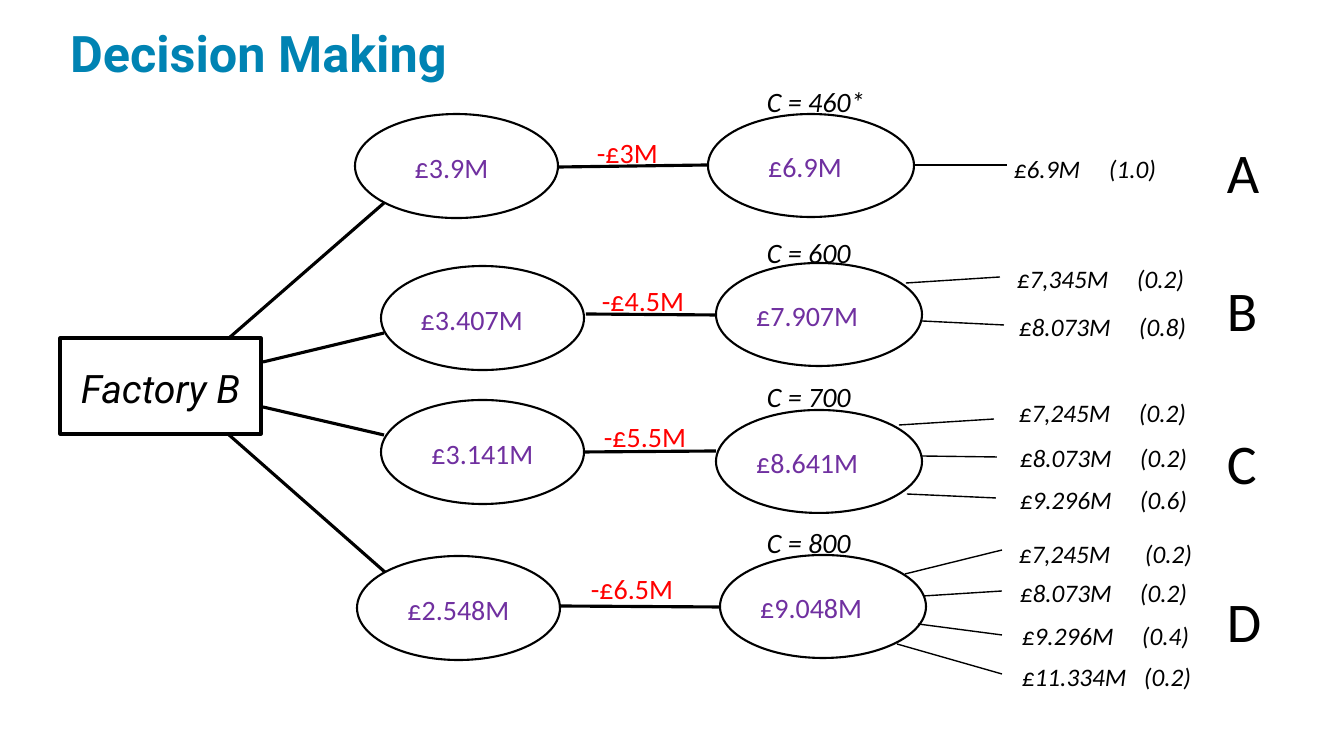
from collections import namedtuple

from lxml import etree
from pptx import Presentation
from pptx.dml.color import RGBColor
from pptx.enum.shapes import MSO_CONNECTOR as CONNECTOR, MSO_SHAPE as SHAPE
from pptx.enum.text import MSO_ANCHOR as ANCHOR, MSO_AUTO_SIZE as AUTO_SIZE, PP_ALIGN as ALIGN
from pptx.oxml.ns import qn
from pptx.util import Emu, Pt

SCALE = 914400 / 100.8
BLACK, WHITE, RED, PURPLE, BLUE = "000000", "FFFFFF", "FF0000", "7030A0", "0083B3"
INSET = 10
NODE_SIZE = (203, 104)
CHANCE_SIZE = (206, 103)

Box = namedtuple("Box", "left top width height")
Node = namedtuple("Node", "left top value indent")
Cost = namedtuple("Cost", "left top amount line")
Outcome = namedtuple("Outcome", "line left top payoff chance tab")
Branch = namedtuple("Branch", "box letter letter_top caption decision cost chance outcomes")

ROOT_BOX = Box(60, 338, 201, 96)
ROOT_LINES = [
    (169, 0, 324, -135),
    (203, 24, 324, -5),
    (203, 69, 324, 97),
    (168, 96, 326, 235),
]

BRANCHES = [
    Branch(
        Box(355, 77, 930, 142), "A", 51, "C = 460*",
        Node(0, 37, "£3.9M", 20),
        Cost(232, 51, "-£3M", (204, 90, 353, 88)),
        Node(353, 37, "£6.9M", 20),
        [Outcome((559, 88, 652, 88), 649, 69, "£6.9M", "(1.0)", 95)],
    ),
    Branch(
        Box(355, 228, 930, 142), "B", 38, "C = 600",
        Node(26, 38, "£3.407M", 0),
        Cost(237, 48, "-£4.5M", (231, 86, 361, 87)),
        Node(361, 35, "£7.907M", 0),
        [
            Outcome((551, 55, 645, 49), 652, 28, "£7,345M", "(0.2)", 120),
            Outcome((567, 93, 649, 97), 654, 76, "£8.073M", "(0.8)", 120),
        ],
    ),
    Branch(
        Box(355, 372, 930, 142), "C", 47, "C = 700",
        Node(26, 28, "£3.141M", None),
        Cost(239, 40, "-£5.5M", (229, 80, 361, 79)),
        Node(361, 38, "£8.641M", 0),
        [
            Outcome((544, 53, 639, 47), 654, 18, "£7,245M", "(0.2)", 120),
            Outcome((566, 84, 642, 85), 655, 63, "£8.073M", "(0.2)", 120),
            Outcome((552, 122, 641, 126), 655, 105, "£9.296M", "(0.6)", 120),
        ],
    ),
    Branch(
        Box(355, 518, 930, 180), "D", 59, "C = 800",
        Node(2, 38, "£2.548M", None),
        Cost(226, 46, "-£6.5M", (204, 88, 365, 89)),
        Node(365, 37, "£9.048M", 0),
        [
            Outcome((550, 56, 647, 32), 654, 13, "£7,245M", "(0.2)", 126),
            Outcome((568, 78, 647, 73), 655, 52, "£8.073M", "(0.2)", 120),
            Outcome((563, 106, 647, 117), 657, 95, "£9.296M", "(0.4)", 120),
            Outcome((542, 126, 647, 156), 657, 136, "£11.334M", "(0.2)", 122),
        ],
    ),
]


def px(value):
    """Turn pixels into EMU."""
    return Emu(round(value * SCALE))


def color(value):
    """Turn a hex string into a colour."""
    return RGBColor.from_string(value)


def inside(box, left, top, width, height):
    """Return a box placed relative to another."""
    return Box(box.left + left, box.top + top, width, height)


def write(shape, text, size, ink, font="Calibri", italic=False, bold=False,
          align=ALIGN.LEFT, spacing=1.07, after=8):
    """Write one formatted run into a shape and return its paragraph."""
    shape.text_frame.word_wrap = True
    paragraph = shape.text_frame.paragraphs[0]
    paragraph.alignment = align
    paragraph.line_spacing = spacing
    paragraph.space_after = Pt(after)
    run = paragraph.add_run()
    run.text = text
    run.font.name = font
    run.font.size = Pt(size)
    run.font.italic = italic
    run.font.bold = bold
    run.font.color.rgb = color(ink)
    return paragraph


def add_label(slide, box, text, size, ink=BLACK, italic=False):
    """Add a text box and return its paragraph."""
    return write(slide.shapes.add_textbox(*map(px, box)), text, size, ink, italic=italic)


def add_line(slide, box, ends, weight):
    """Add a straight line whose ends are relative to the box."""
    x1, y1, x2, y2 = ends
    points = (box.left + x1, box.top + y1, box.left + x2, box.top + y2)
    line = slide.shapes.add_connector(CONNECTOR.STRAIGHT, *map(px, points))
    line.line.color.rgb = color(BLACK)
    line.line.width = Pt(weight)
    properties = line._element.find(qn("p:spPr"))
    etree.SubElement(properties, qn("a:effectLst"))


def add_outline(slide, kind, box, weight, indent=0):
    """Add a white outlined shape with its text indented."""
    shape = slide.shapes.add_shape(kind, *map(px, box))
    shape.shadow.inherit = False
    shape.fill.solid()
    shape.fill.fore_color.rgb = color(WHITE)
    shape.line.color.rgb = color(BLACK)
    shape.line.width = Pt(weight)
    shape.text_frame.vertical_anchor = ANCHOR.MIDDLE
    shape.text_frame.margin_left = px(INSET + indent)
    return shape


def add_node(slide, box, node, size):
    """Add an ellipse with its value, centred when it has no indent."""
    place = inside(box, node.left, node.top, *size)
    ellipse = add_outline(slide, SHAPE.OVAL, place, 1.5, node.indent or 0)
    align = ALIGN.CENTER if node.indent is None else ALIGN.LEFT
    write(ellipse, node.value, 20, PURPLE, align=align)


def add_outcome(slide, box, outcome):
    """Add an outcome line with its payoff and probability."""
    add_line(slide, box, outcome.line, 1)
    place = inside(box, outcome.left, outcome.top, 201, 30)
    text = f"{outcome.payoff}\t{outcome.chance}"
    paragraph = add_label(slide, place, text, 18, italic=True)
    tabs = etree.SubElement(paragraph._p.get_or_add_pPr(), qn("a:tabLst"))
    etree.SubElement(tabs, qn("a:tab"), pos=str(px(outcome.tab)), algn="l")


def add_title(slide, box):
    """Place and format the title."""
    title = slide.shapes.title
    title.left, title.top, title.width, title.height = map(px, box)
    title.text_frame.vertical_anchor = ANCHOR.TOP
    title.text_frame.auto_size = AUTO_SIZE.NONE
    write(title, "Decision Making", 36, BLUE, font="Roboto", bold=True, spacing=0.8, after=0)


def add_root(slide, box):
    """Add the starting decision and the lines that leave it."""
    root = add_outline(slide, SHAPE.RECTANGLE, box, 2.25, 11)
    write(root, "Factory B", 28, BLACK, font="Roboto", italic=True)
    for ends in ROOT_LINES:
        add_line(slide, box, ends, 2.25)


def add_branch(slide, box, branch):
    """Add one option with its cost, capacity and outcomes."""
    add_node(slide, box, branch.decision, NODE_SIZE)
    add_line(slide, box, branch.cost.line, 2.25)
    add_node(slide, box, branch.chance, CHANCE_SIZE)
    for outcome in branch.outcomes:
        add_outcome(slide, box, outcome)
    add_label(slide, inside(box, 402, 0, 140, 33), branch.caption, 20, italic=True)
    cost_box = inside(box, branch.cost.left, branch.cost.top, 113, 33)
    add_label(slide, cost_box, branch.cost.amount, 20, RED)
    add_label(slide, inside(box, 862, branch.letter_top, 66, 58), branch.letter, 40)


presentation = Presentation()
presentation.slide_width, presentation.slide_height = px(1344), px(756)
slide = presentation.slides.add_slide(presentation.slide_layouts[5])
add_title(slide, Box(60, 29, 958, 118))
add_root(slide, ROOT_BOX)
for branch in BRANCHES:
    add_branch(slide, branch.box, branch)
presentation.save("out.pptx")
